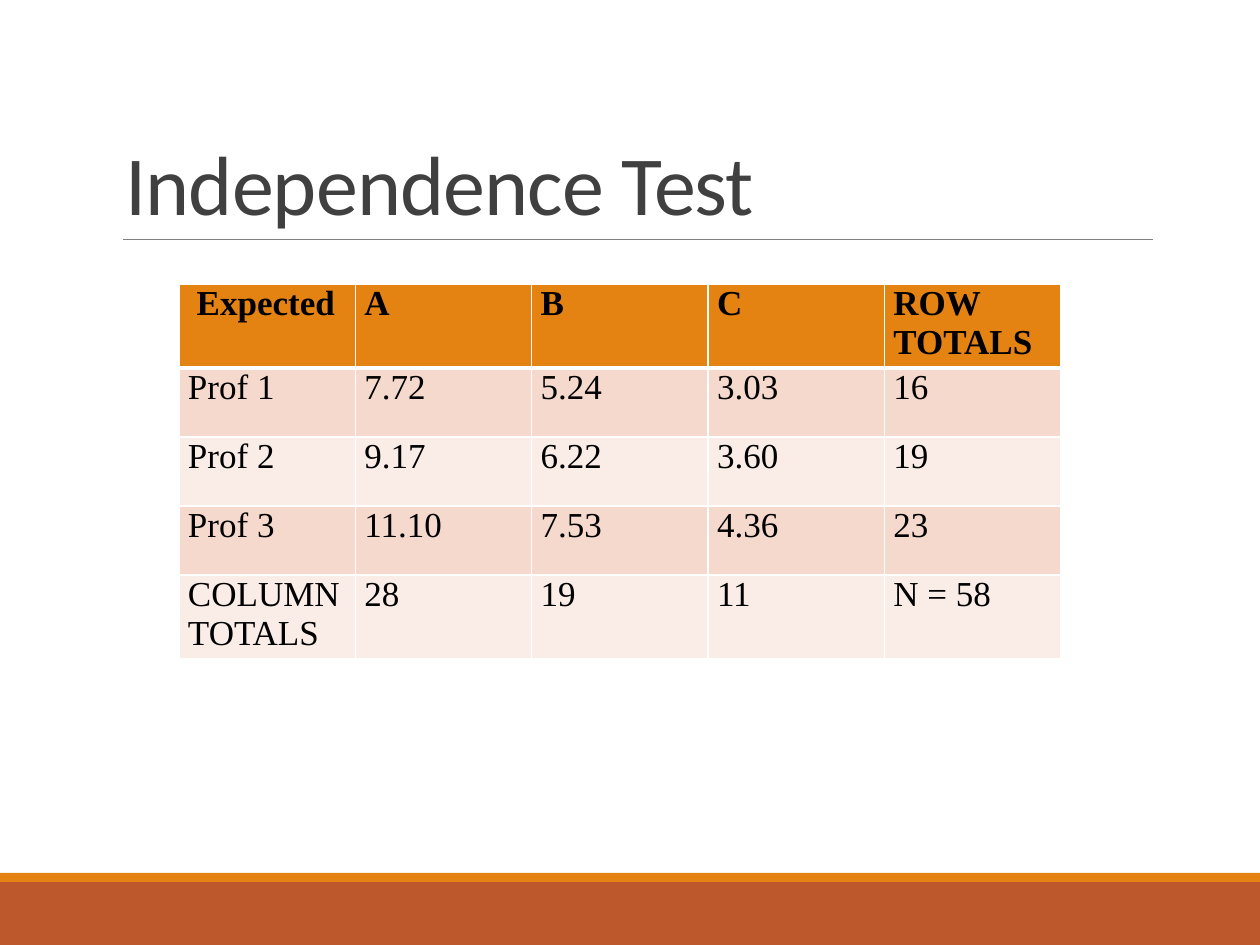
from pptx import Presentation
from pptx.dml.color import RGBColor as RGB
from pptx.enum.shapes import MSO_CONNECTOR as LINE, MSO_SHAPE as SHAPE
from pptx.enum.text import MSO_ANCHOR as ANCHOR
from pptx.oxml import parse_xml
from pptx.oxml.ns import nsdecls
from pptx.util import Pt

PX = 914400 // 126
HUE = {"rust": "BD582C", "gold": "E48312", "rule": "808080", "title": "404040",
       "ink": "000000", "edge": "FFFFFF", "dark": "F5D9CC", "light": "FAEDE7"}


def write(frame, text, size, font, hue, bold=False, gap=1.0, track=0):
    para = frame.paragraphs[0]
    para.line_spacing = gap
    run = para.add_run()
    run.text = text
    run.font.size = Pt(size)
    run.font.name = font
    run.font.bold = bold
    run.font.color.rgb = RGB.from_string(HUE[hue])
    if track:
        run.font._element.set("spc", str(track))


def edge(cell, sides):
    # Borders come before the fill in the cell properties
    props = cell._tc.get_or_add_tcPr()
    for spot, (side, wide) in enumerate(sides.items()):
        props.insert(spot, parse_xml(
            f'<a:ln{side} {nsdecls("a")} w="{Pt(wide)}"><a:solidFill>'
            f'<a:srgbClr val="{HUE["edge"]}"/></a:solidFill></a:ln{side}>'))


deck = Presentation()
deck.slide_width = 1260 * PX
deck.slide_height = 945 * PX
slide = deck.slides.add_slide(deck.slide_layouts[6])
shapes = slide.shapes

# Bottom bands
for top, high, hue in [(882, 63, "rust"), (873, 9, "gold")]:
    band = shapes.add_shape(SHAPE.RECTANGLE, 0, top * PX, 1260 * PX, high * PX)
    band.shadow.inherit = False
    band.fill.solid()
    band.fill.fore_color.rgb = RGB.from_string(HUE[hue])
    band.line.fill.background()

# Rule under the title
rule = shapes.add_connector(LINE.STRAIGHT, 123 * PX, 239 * PX, 1153 * PX, 239 * PX)
rule.line.color.rgb = RGB.from_string(HUE["rule"])
rule.line.width = Pt(0.5)
rule._element.spPr.append(parse_xml(f'<a:effectLst {nsdecls("a")}/>'))

# Title
title = shapes.add_textbox(113 * PX, 39 * PX, 1040 * PX, 200 * PX).text_frame
title.word_wrap = True
title.vertical_anchor = ANCHOR.BOTTOM
write(title, "Independence Test", 48, "Calibri", "title", gap=0.85, track=-50)

# Table of expected counts
rows = [
    [" Expected", "A", "B", "C", "ROW TOTALS"],
    ["Prof 1", "7.72", "5.24", "3.03", "16"],
    ["Prof 2", "9.17", "6.22", "3.60", "19"],
    ["Prof 3", "11.10", "7.53", "4.36", "23"],
    ["COLUMN TOTALS", "28", "19", "11", "N = 58"],
]
wide, high = 882, 69 * len(rows)
grid = shapes.add_table(len(rows), len(rows[0]), 179 * PX, 284 * PX,
                        wide * PX, high * PX).table
for r, row in enumerate(rows):
    head = r == 0
    hue = "gold" if head else "dark" if r % 2 else "light"
    for c, text in enumerate(row):
        cell = grid.cell(r, c)
        cell.margin_left = cell.margin_right = 9 * PX
        cell.margin_top = cell.margin_bottom = 0
        cell.fill.solid()
        cell.fill.fore_color.rgb = RGB.from_string(HUE[hue])
        edge(cell, {"L": 1, "R": 1, "T": 3 if r == 1 else 1, "B": 3 if head else 1})
        write(cell.text_frame, text, 20, "Times New Roman", "ink", bold=head)

deck.save("out.pptx")
